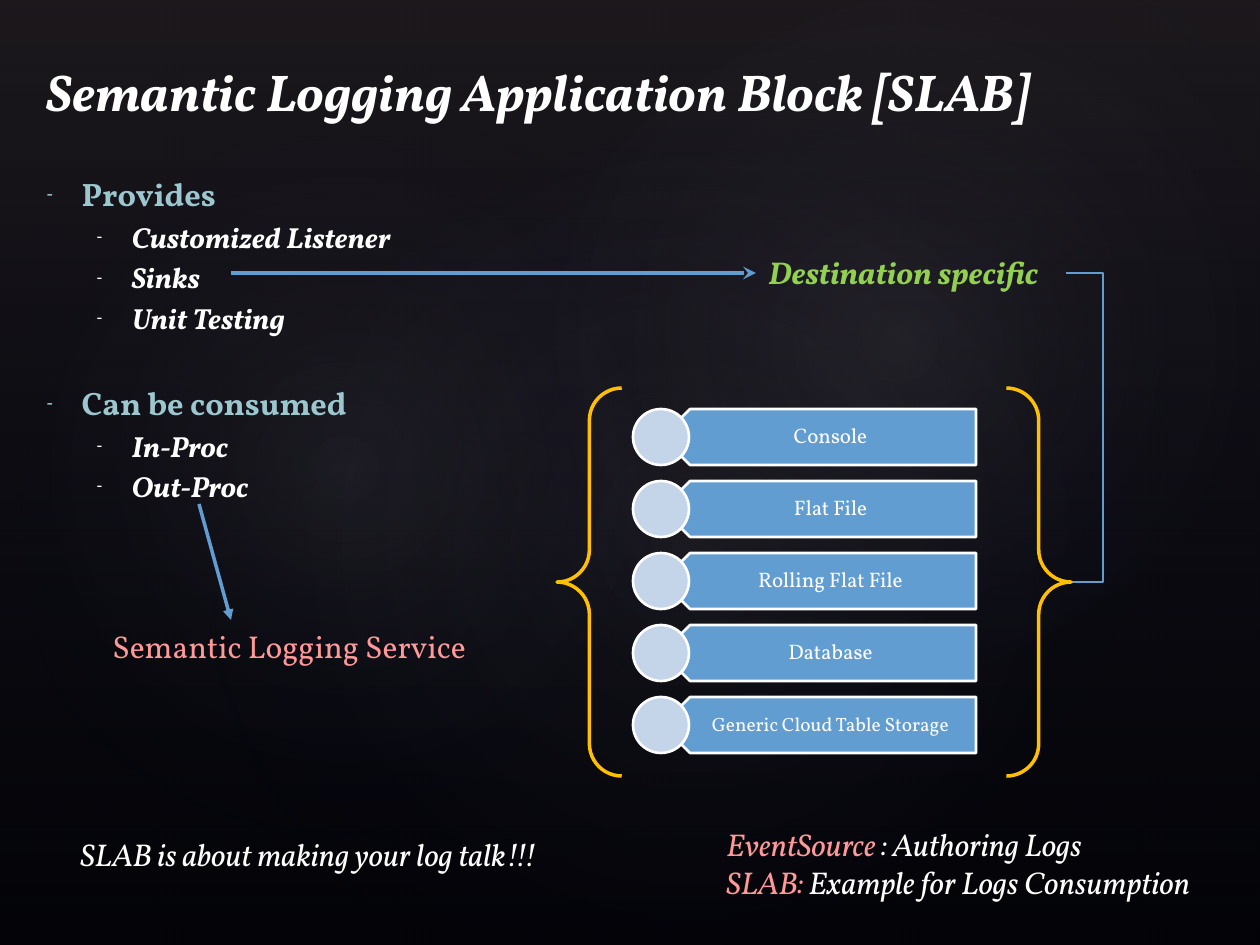
from lxml import etree
from pptx import Presentation
from pptx import util as u
from pptx.dml.color import RGBColor
from pptx.enum import shapes, text
from pptx.oxml import parse_xml
from pptx.oxml.ns import nsdecls, qn

PX = 914400 // 126
FONT = "Vollkorn"
WHITE, BLUE, PALE_BLUE, TEAL = "FFFFFF", "629DD1", "C5D5E9", "9CC7CE"
GREEN, PINK, AMBER = "92D050", "FF9999", "FFC000"
SINKS = ["Console", "Flat File", "Rolling Flat File", "Database",
         "Generic Cloud Table Storage"]
# left, top, width, height, rotation, centre opacity in percent
GLOWS = [(189, 144, 998, 786, 328.7, 7),
         (-38, 161, 764, 617, 294.3, 8),
         (451, 16, 893, 655, 328.7, 8)]


def px(*values):
    return [u.Emu(value * PX) for value in values]


def color(code):
    return RGBColor.from_string(code)


def write(paragraph, content, size=18, fill=WHITE, bold=False, italic=False):
    run = paragraph.add_run()
    run.text = content
    font = run.font
    font.name, font.size = FONT, u.Pt(size)
    font.bold, font.italic = bold, italic
    font.color.rgb = color(fill)


def add_shape(slide, kind, box, fill=None, line=None, width=1.5, rotation=0):
    shape = slide.shapes.add_shape(kind, *px(*box))
    shape.shadow.inherit = False
    shape.rotation = rotation
    if fill:
        shape.fill.solid()
        shape.fill.fore_color.rgb = color(fill)
    else:
        shape.fill.background()
    if line:
        shape.line.color.rgb = color(line)
        shape.line.width = u.Pt(width)
    else:
        shape.line.fill.background()
    return shape


def add_glow(slide, kind, box, stops, direction, rotation=0):
    """Shape with a gradient of (position, colour, opacity) stops."""
    shape = add_shape(slide, kind, box, rotation=rotation)
    stop_xml = "".join(
        f'<a:gs pos="{position * 1000}"><a:srgbClr val="{code}">'
        f'<a:alpha val="{opacity * 1000}"/></a:srgbClr></a:gs>'
        for position, code, opacity in stops)
    gradient = parse_xml(f'<a:gradFill {nsdecls("a")} rotWithShape="1">'
                         f'<a:gsLst>{stop_xml}</a:gsLst>{direction}</a:gradFill>')
    properties = shape._element.spPr
    properties.replace(properties.find(qn("a:noFill")), gradient)


def add_background(slide):
    slide.background.fill.solid()
    slide.background.fill.fore_color.rgb = color("000000")
    add_glow(slide, shapes.MSO_SHAPE.RECTANGLE, (0, 0, 1260, 945),
             [(0, "504652", 36), (100, "242852", 10)],
             '<a:lin ang="5400000" scaled="0"/>')
    center = ('<a:path path="circle"><a:fillToRect l="50000" t="50000" '
              'r="50000" b="50000"/></a:path>')
    for *box, rotation, opacity in GLOWS:
        add_glow(slide, shapes.MSO_SHAPE.OVAL, box,
                 [(0, "C4BCC6", opacity), (58, "242852", 0)], center, rotation)


def add_text(slide, box, lines, wrap=True, **style):
    """Text box; each line is a list of (text, colour) parts."""
    frame = slide.shapes.add_textbox(*px(*box)).text_frame
    frame.word_wrap = wrap
    for index, parts in enumerate(lines):
        paragraph = frame.add_paragraph() if index else frame.paragraphs[0]
        for content, fill in parts:
            write(paragraph, content, fill=fill, **style)
    return frame


def place(placeholder, box):
    placeholder.left, placeholder.top, placeholder.width, placeholder.height = px(*box)
    frame = placeholder.text_frame
    frame.auto_size = text.MSO_AUTO_SIZE.NONE
    frame.vertical_anchor = text.MSO_ANCHOR.TOP
    frame.word_wrap = True
    return frame


def fill_title(placeholder, box, content):
    paragraph = place(placeholder, box).paragraphs[0]
    paragraph.alignment = text.PP_ALIGN.LEFT
    paragraph._p.get_or_add_pPr().set("marL", str(3 * PX))
    write(paragraph, content, size=29.6, bold=True, italic=True)


def fill_list(placeholder, box, heading, items):
    frame = place(placeholder, box)
    for index, content in enumerate([heading, *items]):
        level = min(index, 1)
        size = 16.6 if level else 18.5
        paragraph = frame.add_paragraph() if index else frame.paragraphs[0]
        paragraph.level = level
        paragraph.space_before = u.Pt(round(size * 0.2, 1))
        properties = paragraph._p.get_or_add_pPr()
        properties.set("marL", str((88 if level else 38) * PX))
        properties.set("indent", str(-35 * PX))
        etree.SubElement(properties, qn("a:buSzPct"), val="60000")
        etree.SubElement(properties, qn("a:buChar"), char="-")
        write(paragraph, content, size=size, fill=WHITE if level else TEAL,
              bold=True, italic=bool(level))


def add_line(slide, start, end, width, head=None, bend_x=None):
    kind = shapes.MSO_CONNECTOR.ELBOW if bend_x else shapes.MSO_CONNECTOR.STRAIGHT
    connector = slide.shapes.add_connector(kind, *px(*start, *end))
    connector.line.color.rgb = color(BLUE)
    connector.line.width = u.Pt(width)
    properties = connector._element.spPr
    if head:
        etree.SubElement(connector.line._get_or_add_ln(), qn("a:tailEnd"), type=head)
    if bend_x:
        ratio = (bend_x - start[0]) / (end[0] - start[0])
        guides = properties.find(qn("a:prstGeom")).get_or_add_avLst()
        etree.SubElement(guides, qn("a:gd"), name="adj1",
                         fmla=f"val {round(ratio * 100000)}")
    etree.SubElement(properties, qn("a:effectLst"))


def add_sink(slide, top, name):
    size = 56
    add_shape(slide, shapes.MSO_SHAPE.PENTAGON, (662, top, 314, size),
              BLUE, WHITE, rotation=180)
    long_name = len(name) > 20
    frame = add_text(slide, (674, top, 300, size), [[(name, WHITE)]],
                     size=11 if long_name else 12)
    frame.vertical_anchor = text.MSO_ANCHOR.MIDDLE
    frame.margin_left, frame.margin_right = px(24, 11)
    frame.paragraphs[0].alignment = text.PP_ALIGN.CENTER
    frame.paragraphs[0].line_spacing = 0.9
    add_shape(slide, shapes.MSO_SHAPE.OVAL, (633, top, size, size), PALE_BLUE, WHITE)


def main():
    presentation = Presentation()
    presentation.slide_width, presentation.slide_height = px(1260, 945)
    slide = presentation.slides.add_slide(presentation.slide_layouts[3])
    title, provides, consumed = slide.placeholders
    add_background(slide)

    # Title and lists, kept in front of the background
    for placeholder in (title, provides, consumed):
        slide.shapes._spTree.append(placeholder._element)
    fill_title(title, (31, 53, 1113, 73), "Semantic Logging Application Block [SLAB]")
    fill_list(provides, (31, 168, 525, 168), "Provides",
              ["Customized Listener", "Sinks", "Unit Testing"])
    fill_list(consumed, (31, 377, 525, 136), "Can be consumed",
              ["In-Proc", "Out-Proc"])

    # Sinks and their destinations
    add_line(slide, (231, 273), (756, 273), 2.5, head="stealth")
    add_text(slide, (756, 247, 309, 50), [[("Destination specific", GREEN)]],
             wrap=False, bold=True, italic=True)
    add_line(slide, (1066, 273), (1071, 582), 1, bend_x=1103)
    add_shape(slide, shapes.MSO_SHAPE.DOUBLE_BRACE, (557, 388, 514, 388),
              line=AMBER, width=2, rotation=180)
    for index, name in enumerate(SINKS):
        add_sink(slide, 409 + 72 * index, name)

    # Out-of-process service
    add_line(slide, (199, 504), (231, 620), 2, head="triangle")
    add_text(slide, (100, 621, 388, 50), [[("Semantic Logging Service", PINK)]],
             wrap=False)

    # Closing remarks
    add_text(slide, (68, 829, 519, 50),
             [[("SLAB is about making your log talk!!!", WHITE)]], italic=True)
    add_text(slide, (714, 819, 546, 89),
             [[("EventSource", PINK), (" : Authoring Logs", WHITE)],
              [("SLAB: ", PINK), ("Example for Logs Consumption", WHITE)]],
             italic=True)
    presentation.save("out.pptx")


if __name__ == "__main__":
    main()
